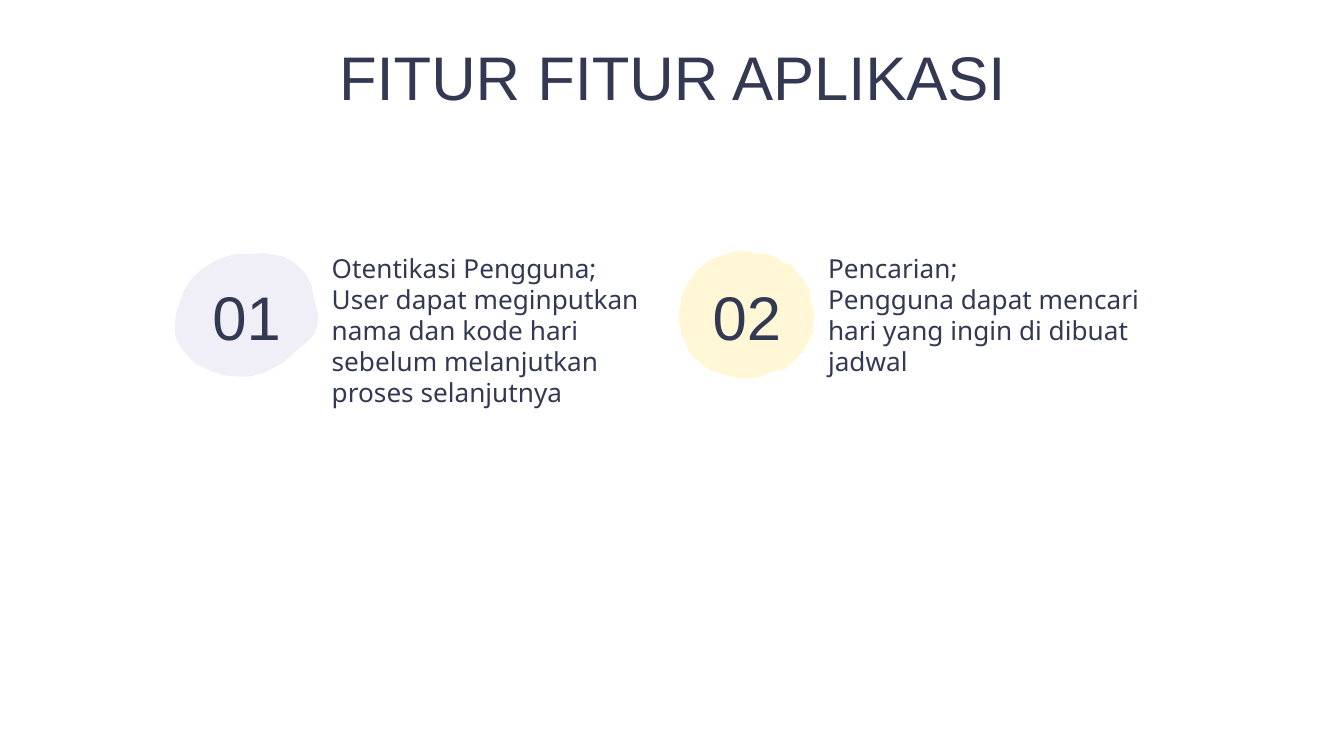
from dataclasses import dataclass

from pptx import Presentation
from pptx.dml.color import RGBColor
from pptx.enum.text import MSO_ANCHOR, MSO_AUTO_SIZE, PP_ALIGN
from pptx.util import Cm, Pt


@dataclass(frozen=True)
class Theme:
    ink: RGBColor = RGBColor(0x34, 0x39, 0x53)
    lavender: RGBColor = RGBColor(0xF0, 0xEF, 0xF8)
    cream: RGBColor = RGBColor(0xFF, 0xF7, 0xD6)
    heading_font: str = "Arial"
    body_font: str = "Noto Sans"
    heading_size: Pt = Pt(33)
    body_size: Pt = Pt(14)
    body_leading: Pt = Pt(16.7)


THEME = Theme()

# Blob outlines, in units that are scaled to the blob's size
LAVENDER_BLOB = [
    (66, 0), (55, 1), (45, 1), (37, 3), (28, 7), (20, 12), (12, 20), (7, 28),
    (1, 45), (0, 55), (1, 64), (4, 69), (10, 77), (15, 82), (25, 87), (36, 91),
    (47, 92), (55, 92), (66, 89), (74, 85), (81, 81), (87, 75), (94, 69),
    (99, 65), (103, 60), (105, 54), (106, 48), (105, 42), (102, 32), (101, 24),
    (96, 15), (89, 8), (81, 3), (71, 1),
]
CREAM_BLOB = [
    (50, 0), (42, 0), (34, 3), (27, 5), (21, 8), (13, 15), (10, 20), (6, 25),
    (2, 34), (2, 39), (0, 45), (0, 51), (2, 61), (5, 69), (8, 75), (11, 79),
    (18, 85), (24, 89), (30, 91), (37, 93), (46, 95), (60, 94), (69, 90),
    (79, 88), (86, 82), (92, 75), (96, 68), (100, 60), (100, 51), (101, 47),
    (98, 37), (97, 29), (93, 22), (88, 16), (83, 10), (78, 9), (73, 5),
    (66, 2), (58, 2),
]

FEATURES = [
    dict(number="01", left=3.30, blob_size=(2.72, 2.34),
         outline=LAVENDER_BLOB, color=THEME.lavender,
         lines=["Otentikasi Pengguna;",
                "User dapat meginputkan nama dan kode hari sebelum "
                "melanjutkan proses selanjutnya"]),
    dict(number="02", left=12.83, blob_size=(2.57, 2.41),
         outline=CREAM_BLOB, color=THEME.cream,
         lines=["Pencarian;",
                "Pengguna dapat mencari hari yang ingin di dibuat jadwal"]),
]
FEATURE_TOP = 4.52
BODY_WIDTH, BODY_HEIGHT = 6.5, 2.57


def set_frame(tf, top_inset):
    tf.word_wrap = True
    tf.auto_size = MSO_AUTO_SIZE.NONE
    tf.vertical_anchor = MSO_ANCHOR.TOP
    tf.margin_left = tf.margin_right = tf.margin_bottom = Cm(0.25)
    tf.margin_top = Cm(top_inset)


def set_font(p, name, size):
    for r in p.runs:
        r.font.name = name
        r.font.size = size
        r.font.color.rgb = THEME.ink


def set_heading(tf, text):
    set_frame(tf, 0.38)
    tf.text = text
    p = tf.paragraphs[0]
    p.alignment = PP_ALIGN.CENTER
    set_font(p, THEME.heading_font, THEME.heading_size)


def add_title(slide, left, top, width, height):
    sp = slide.shapes.title
    sp.left, sp.top, sp.width, sp.height = map(Cm, (left, top, width, height))
    set_heading(sp.text_frame, "FITUR FITUR APLIKASI")


def add_blob(slide, left, top, width, height, outline, color):
    x_unit = Cm(width) / max(x for x, _ in outline)
    y_unit = Cm(height) / max(y for _, y in outline)
    points = [(x * x_unit, y * y_unit) for x, y in outline]
    builder = slide.shapes.build_freeform(*points[0])
    builder.add_line_segments(points[1:], close=True)
    sp = builder.convert_to_shape(Cm(left), Cm(top))
    sp.shadow.inherit = False
    sp.fill.solid()
    sp.fill.fore_color.rgb = color
    sp.line.fill.background()


def add_feature(slide, left, top, number, blob_size, outline, color, lines):
    """Place a numbered blob with its description to the right."""
    blob_w, blob_h = blob_size
    add_blob(slide, left, top + 1.43 - blob_h / 2, blob_w, blob_h, outline, color)

    sp = slide.shapes.add_textbox(Cm(left + 0.15), Cm(top + 0.38),
                                  Cm(blob_w - 0.3), Cm(1.65))
    set_heading(sp.text_frame, number)

    sp = slide.shapes.add_textbox(Cm(left + blob_w), Cm(top),
                                  Cm(BODY_WIDTH), Cm(BODY_HEIGHT))
    tf = sp.text_frame
    set_frame(tf, 0.25)
    tf.text = "\n".join(lines)
    for p in tf.paragraphs:
        p.line_spacing = THEME.body_leading
        set_font(p, THEME.body_font, THEME.body_size)


def main():
    prs = Presentation()
    prs.slide_width, prs.slide_height = Cm(25.4), Cm(14.29)
    slide = prs.slides.add_slide(prs.slide_layouts[5])
    add_title(slide, 6.15, 0.36, 13.13, 2.57)
    for feature in FEATURES:
        add_feature(slide, top=FEATURE_TOP, **feature)
    prs.save("out.pptx")


if __name__ == "__main__":
    main()
